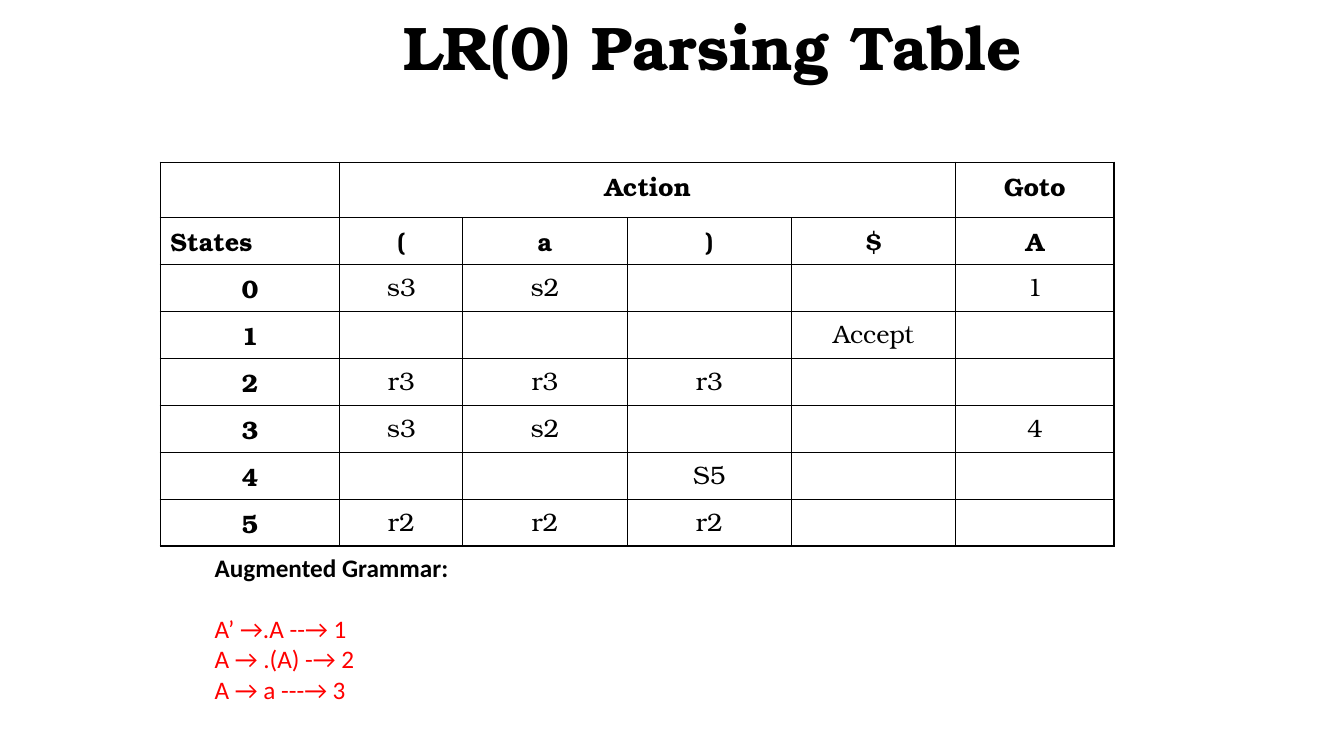
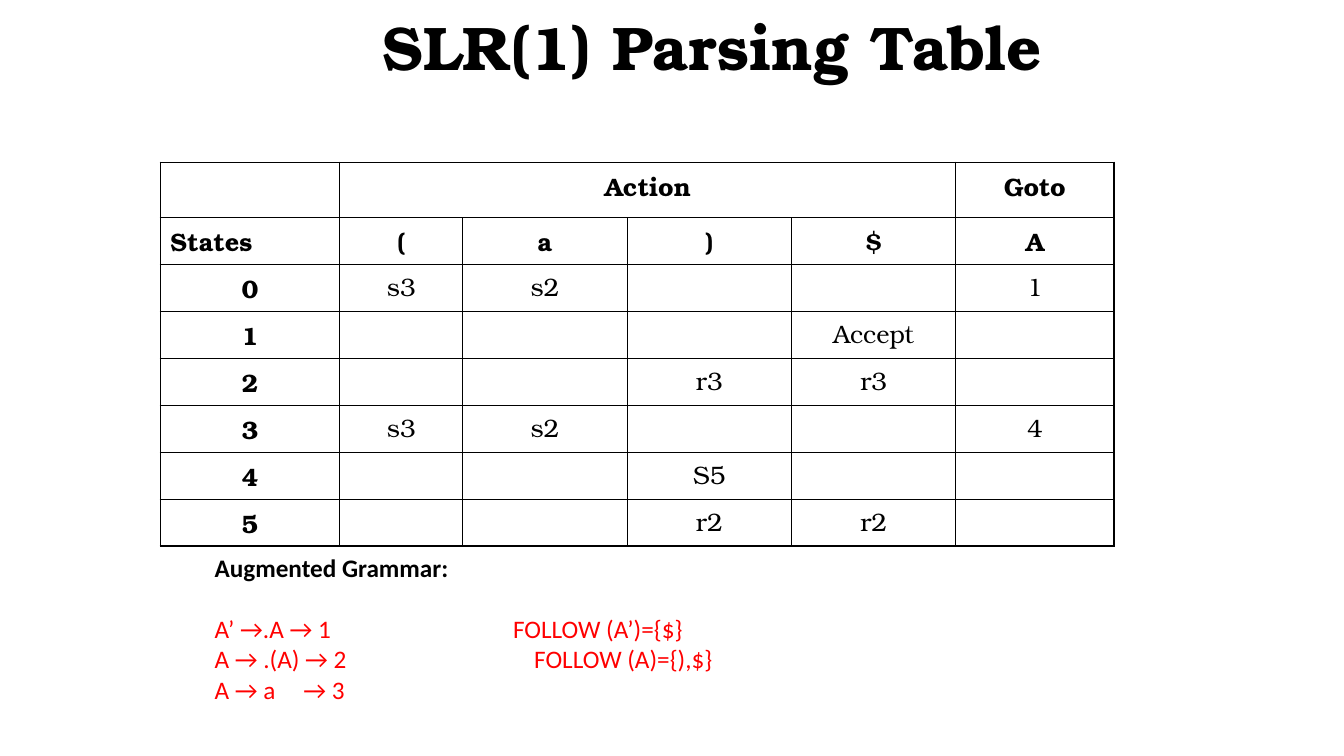
from lxml import etree
from pptx import Presentation
from pptx.dml.color import RGBColor
from pptx.enum.text import MSO_ANCHOR, MSO_AUTO_SIZE, PP_ALIGN
from pptx.oxml.ns import qn
from pptx.util import Inches, Pt

LEFT, MID = PP_ALIGN.LEFT, PP_ALIGN.CENTER
TOP = MSO_ANCHOR.TOP
GROW = MSO_AUTO_SIZE.SHAPE_TO_FIT_TEXT
SERIF, SANS = "TeX Gyre Bonum", "Calibri"
BLACK, RED = "000000", "FF0000"
COLS = [1.78, 1.22, 1.63, 1.63, 1.63, 1.57]
ROWS = [0.55] + [0.36] * 7
HEADS = [["", "Action", "", "", "", "Goto"],
         ["States", "(", "a", ")", "$", "A"]]
SHIFT = ["s3", "s2", "", "", ""]
START = SHIFT[:4] + ["1"]
LOOP = SHIFT[:4] + ["4"]
DONE = ["", "", "", "Accept", ""]
CLOSE = ["", "", "S5", "", ""]


def color(text):
    return RGBColor.from_string(text)


class Deck:
    def __init__(self):
        self.file = Presentation()
        self.file.slide_width = Inches(13.33)
        self.file.slide_height = Inches(7.5)
        self.slide = None

    def style(self, para, face, size=18, bold=False, tint=BLACK, align=LEFT):
        para.alignment = align
        font = para.font
        font.name, font.size, font.bold = face, Pt(size), bold
        font.color.rgb = color(tint)

    def title(self, text):
        self.slide = self.file.slides.add_slide(self.file.slide_layouts[5])
        box = self.slide.shapes.title
        box.left, box.top = Inches(1.07), Inches(0.04)
        box.width, box.height = Inches(12), Inches(1.25)
        frame = box.text_frame
        frame.text = text
        frame.vertical_anchor = TOP
        self.style(frame.paragraphs[0], SERIF, 44, True, align=MID)

    def border(self, cell):
        props = cell._tc.get_or_add_tcPr()
        for spot, side in enumerate(("lnL", "lnR", "lnT", "lnB")):
            line = etree.Element(qn("a:" + side), w=str(Pt(1)))
            fill = etree.SubElement(line, qn("a:solidFill"))
            etree.SubElement(fill, qn("a:srgbClr"), val=BLACK)
            props.insert(spot, line)

    def table(self, moves):
        rows = HEADS + [[str(state)] + row for state, row in enumerate(moves)]
        grid = self.slide.shapes.add_table(
            len(ROWS), len(COLS), Inches(1.59), Inches(1.61),
            Inches(sum(COLS)), Inches(sum(ROWS))).table
        grid.first_row = grid.horz_banding = False
        for col, width in zip(grid.columns, COLS):
            col.width = Inches(width)
        for row, height in zip(grid.rows, ROWS):
            row.height = Inches(height)
        for y, row in enumerate(rows):
            for x, text in enumerate(row):
                cell = grid.cell(y, x)
                cell.text = text
                cell.fill.background()
                self.border(cell)
                bold = y < len(HEADS) or x == 0
                align = LEFT if text == "States" else MID
                self.style(cell.text_frame.paragraphs[0], SERIF,
                           bold=bold, align=align)
        grid.cell(0, 1).merge(grid.cell(0, 4))

    def tab(self, para, stop):
        tabs = etree.SubElement(para._p.get_or_add_pPr(), qn("a:tabLst"))
        etree.SubElement(tabs, qn("a:tab"), pos=str(Inches(stop)), algn="l")

    def grammar(self, rules):
        box = self.slide.shapes.add_textbox(
            Inches(2.03), Inches(5.43), Inches(9.28), Inches(1.62))
        frame = box.text_frame
        frame.word_wrap = True
        frame.auto_size = GROW
        head = frame.paragraphs[0]
        head.text = "Augmented Grammar:"
        self.style(head, SANS, bold=True)
        for spot, (text, stop) in enumerate(rules):
            para = frame.add_paragraph()
            para.text = text
            if stop:
                self.tab(para, stop)
            if spot == 0:
                para.space_before = Pt(22)
            self.style(para, SANS, tint=RED)

    def save(self):
        self.file.save("out.pptx")


def main():
    deck = Deck()
    pages = [
        ("LR(0) Parsing Table",
         ["r3", "r3", "r3", "", ""],
         ["r2", "r2", "r2", "", ""],
         [("A’ →.A --→ 1", None),
          ("A → .(A) -→ 2", None),
          ("A → a ---→ 3", None)]),
        ("SLR(1) Parsing Table",
         ["", "", "r3", "r3", ""],
         ["", "", "r2", "r2", ""],
         [("A’ →.A → 1\tFOLLOW (A’)={$}", 2.96),
          ("A → .(A) → 2\tFOLLOW (A)={),$}", 3.17),
          ("A → a\t→ 3", 0.88)]),
    ]
    for name, two, five, rules in pages:
        deck.title(name)
        deck.table([START, DONE, two, LOOP, CLOSE, five])
        deck.grammar(rules)
    deck.save()


if __name__ == "__main__":
    main()
